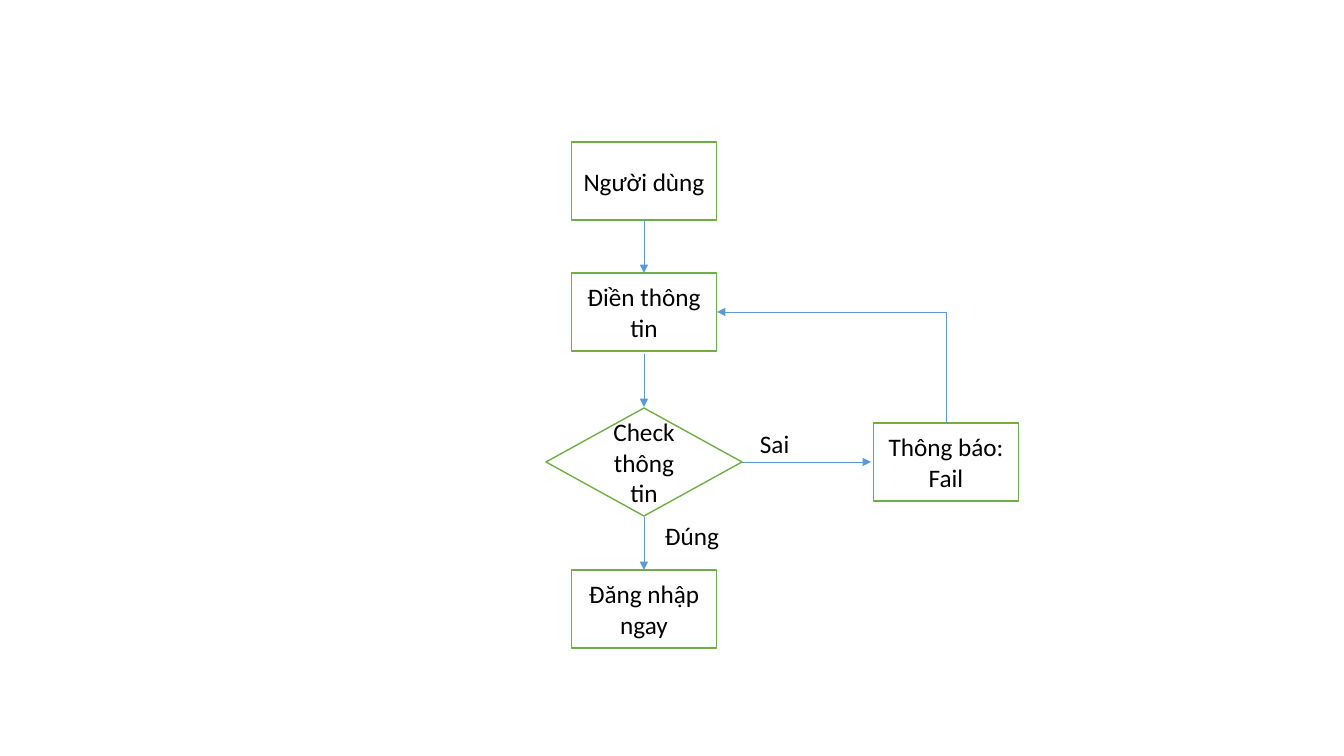
from lxml import etree
from pptx import Presentation
from pptx import util as u
from pptx.dml.color import RGBColor
from pptx.enum import shapes, text
from pptx.oxml.ns import qn

WHITE = RGBColor(0xFF, 0xFF, 0xFF)
BLACK = RGBColor(0, 0, 0)
GREEN = RGBColor(0x70, 0xAD, 0x47)
BLUE = RGBColor(0x5B, 0x9B, 0xD5)

# Content, in px
WIDE, HIGH = 1344, 756
MID, SIDE = 644, 946  # centres of the two columns
BOX, GEM = (145, 78), (196, 108)
RECT, DIAMOND = shapes.MSO_SHAPE.RECTANGLE, shapes.MSO_SHAPE.DIAMOND
STEPS = [  # words, outline, size, centre
    ("Người dùng", RECT, BOX, (MID, 181)),
    ("Điền thông tin", RECT, BOX, (MID, 312)),
    ("Check thông tin", DIAMOND, GEM, (MID, 462)),
    ("Đăng nhập ngay", RECT, BOX, (MID, 609)),
    ("Thông báo: Fail", RECT, BOX, (SIDE, 462)),
]
DROP, STARTS = 53, (220, 354, 517)  # down arrows
LINES = [((MID, y), (MID, y + DROP), True) for y in STARTS] + [
    ((742, 462), (871, 462), True),
    ((SIDE, 423), (SIDE, 312), False),
    ((SIDE, 312), (717, 312), True),
]
LABELS = [("Đúng", (654, 515, 76, 40)), ("Sai ", (750, 423, 55, 40))]

deck = Presentation()
deck.slide_width, deck.slide_height = u.Inches(13.333), u.Inches(7.5)
SCALE = u.Inches(7.5) / HIGH


def px(*nums):
    return [u.Emu(round(n * SCALE)) for n in nums]


def write(shape, words):
    para = shape.text_frame.paragraphs[0]
    para.text = words
    para.alignment = text.PP_ALIGN.CENTER
    para.font.name, para.font.size = "Calibri", u.Pt(18)
    para.font.color.rgb = BLACK


slide = deck.slides.add_slide(deck.slide_layouts[6])

# Steps
for words, kind, (w, h), (x, y) in STEPS:
    step = slide.shapes.add_shape(kind, *px(x - w / 2, y - h / 2, w, h))
    step.shadow.inherit = False
    step.fill.solid()
    step.fill.fore_color.rgb = WHITE
    step.line.color.rgb = GREEN
    step.line.width = u.Pt(1)
    step.text_frame.vertical_anchor = text.MSO_ANCHOR.MIDDLE
    write(step, words)

# Arrows
for start, end, head in LINES:
    link = slide.shapes.add_connector(
        shapes.MSO_CONNECTOR.STRAIGHT, *px(*start, *end))
    link.line.color.rgb = BLUE
    link.line.width = u.Pt(0.5)
    if head:
        etree.SubElement(link.line._get_or_add_ln(), qn("a:tailEnd"),
                         type="triangle")
    etree.SubElement(link._element.spPr, qn("a:effectLst"))

# Branch labels
for words, spot in LABELS:
    label = slide.shapes.add_textbox(*px(*spot))
    label.text_frame.word_wrap = False
    label.text_frame.auto_size = text.MSO_AUTO_SIZE.SHAPE_TO_FIT_TEXT
    write(label, words)

deck.save("out.pptx")
